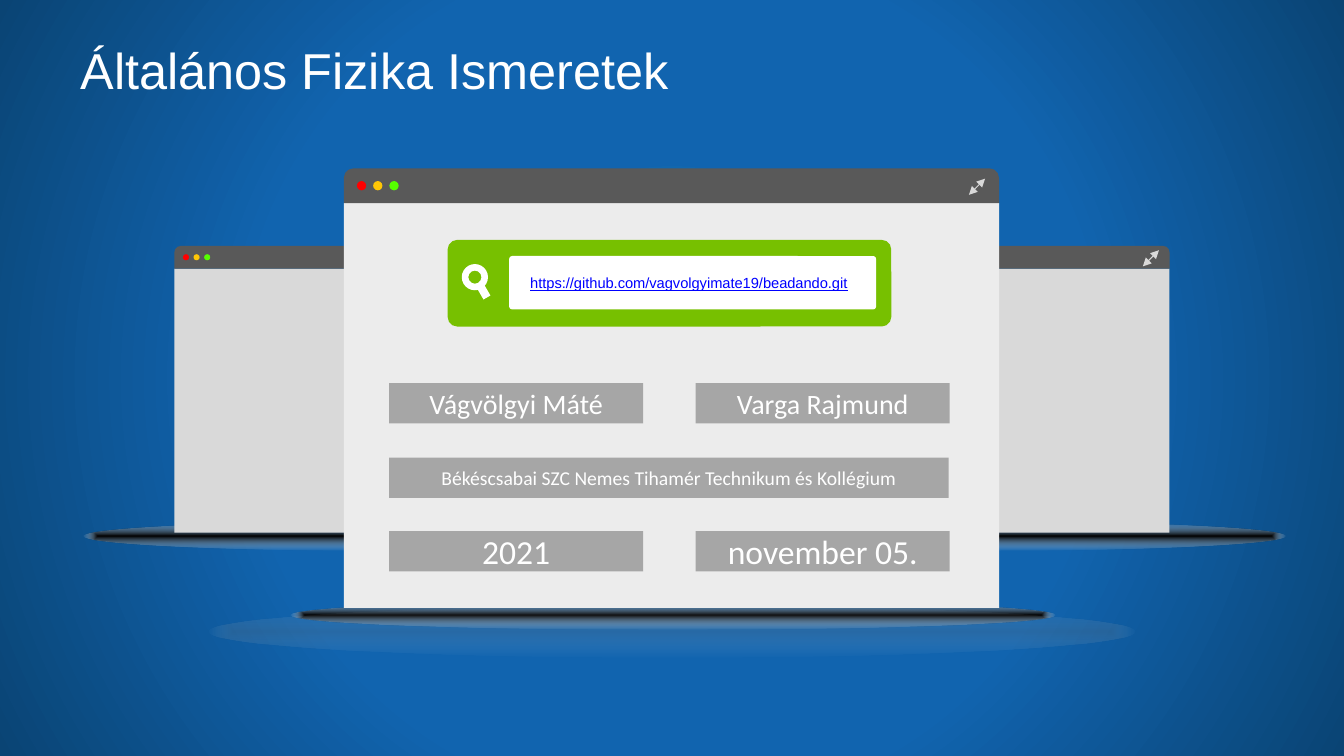
from lxml.etree import SubElement
from pptx import Presentation
from pptx.dml.color import RGBColor
from pptx.enum.shapes import MSO_CONNECTOR, MSO_SHAPE
from pptx.enum.text import MSO_ANCHOR, PP_ALIGN
from pptx.oxml.ns import qn
from pptx.util import Inches, Pt

WHITE = RGBColor(0xFF, 0xFF, 0xFF)
BLACK = RGBColor(0x00, 0x00, 0x00)
SMOKE = RGBColor(0x80, 0x80, 0x80)
DARK = RGBColor(0x59, 0x59, 0x59)
LIGHT = RGBColor(0xD9, 0xD9, 0xD9)
PALE = RGBColor(0xEC, 0xEC, 0xEC)
GREY = RGBColor(0xA6, 0xA6, 0xA6)
GREEN = RGBColor(0x77, 0xC0, 0x00)
LINK = RGBColor(0x00, 0x00, 0xFF)
LAMPS = [RGBColor(0xFF, 0x00, 0x00), RGBColor(0xFF, 0xC6, 0x05),
         RGBColor(0x56, 0xFF, 0x00)]
SKY = [(0, RGBColor(0x12, 0x67, 0xAE), 100),
       (55, RGBColor(0x11, 0x64, 0xAF), 100),
       (100, RGBColor(0x0A, 0x44, 0x74), 100)]


def add_glow(fill, owner, stops, path):
    """Fill from the centre outwards; stops are (place, colour, opacity) in percent."""
    fill.gradient()
    grad = owner.find(".//" + qn("a:gradFill"))
    for child in list(grad):
        grad.remove(child)
    group = SubElement(grad, qn("a:gsLst"))
    for place, color, alpha in stops:
        stop = SubElement(group, qn("a:gs"), pos=str(place * 1000))
        tint = SubElement(stop, qn("a:srgbClr"), val=str(color))
        if alpha < 100:
            SubElement(tint, qn("a:alpha"), val=str(alpha * 1000))
    way = SubElement(grad, qn("a:path"), path=path)
    SubElement(way, qn("a:fillToRect"), l="50000", t="50000", r="50000", b="50000")


def add_shape(slide, kind, box, color=None, adjust=None, turn=0):
    shape = slide.shapes.add_shape(kind, *[Inches(n) for n in box])
    shape.shadow.inherit = False
    shape.line.fill.background()
    if color is not None:
        shape.fill.solid()
        shape.fill.fore_color.rgb = color
    if adjust is not None:
        shape.adjustments[0] = adjust
    shape.rotation = turn
    return shape


def add_shade(slide, box, color=BLACK, alpha=100):
    shape = add_shape(slide, MSO_SHAPE.OVAL, box)
    stops = [(0, color, alpha), (100, WHITE, 0)]
    add_glow(shape.fill, shape._element, stops, "shape")


def add_text(shape, text, size, font, color=WHITE, align=PP_ALIGN.CENTER):
    frame = shape.text_frame
    frame.word_wrap = True
    frame.vertical_anchor = MSO_ANCHOR.MIDDLE
    line = frame.paragraphs[0]
    line.alignment = align
    run = line.add_run()
    run.text = text
    run.font.size = Pt(size)
    run.font.name = font
    run.font.color.rgb = color
    return run


def add_arrow(slide, x, y, half):
    """Two-headed slanted arrow centred on x, y."""
    ends = [Inches(n) for n in (x + half, y - half, x - half, y + half)]
    arrow = slide.shapes.add_connector(MSO_CONNECTOR.STRAIGHT, *ends)
    arrow.line.color.rgb = LIGHT
    arrow.line.width = Pt(0.75)
    for end in ("a:headEnd", "a:tailEnd"):
        SubElement(arrow.line._ln, qn(end), type="triangle")
    SubElement(arrow._element.spPr, qn("a:effectLst"))


def add_window(slide, left, top, width, face, lamps=True):
    scale = width / 4.24
    bar = 0.225 * scale
    add_shape(slide, MSO_SHAPE.RECTANGLE,
              (left, top + bar, width, 2.62 * scale), face)
    add_shape(slide, MSO_SHAPE.ROUND_2_SAME_RECTANGLE,
              (left, top, width, bar), DARK, 0.28)
    if lamps:
        size = 0.06 * scale
        for i, color in enumerate(LAMPS):
            x = left + (0.085 + 0.105 * i) * scale
            add_shape(slide, MSO_SHAPE.OVAL,
                      (x, top + (bar - size) / 2, size, size), color)
    add_arrow(slide, left + width - 0.12 - 0.065 * scale, top + bar / 2 + 0.01, 0.08)


def add_label(slide, left, top, width, text, size):
    shape = add_shape(slide, MSO_SHAPE.RECTANGLE, (left, top, width, 0.4), GREY)
    add_text(shape, text, size, "Calibri")


def add_title(slide, text):
    box = slide.shapes.add_textbox(Inches(0.67), Inches(0.3), Inches(12), Inches(0.78))
    frame = box.text_frame
    frame.margin_left = frame.margin_right = Inches(0.13)
    frame.margin_top = frame.margin_bottom = Inches(0.07)
    add_text(box, text, 36, "Arial", align=PP_ALIGN.LEFT)


def add_search(slide, text):
    add_shape(slide, MSO_SHAPE.ROUNDED_RECTANGLE, (4.44, 2.38, 4.4, 0.86), GREEN, 0.11)
    field = add_shape(slide, MSO_SHAPE.ROUNDED_RECTANGLE,
                      (5.05, 2.54, 3.64, 0.53), WHITE, 0.06)
    field.text_frame.margin_left = Inches(0.2)
    field.text_frame.margin_right = Inches(0.12)
    run = add_text(field, text, 10.5, "Arial", LINK, PP_ALIGN.LEFT)
    run.font.underline = True
    # Magnifier: ring and handle
    add_shape(slide, MSO_SHAPE.DONUT, (4.58, 2.62, 0.26, 0.26), WHITE, turn=60)
    add_shape(slide, MSO_SHAPE.RECTANGLE, (4.74, 2.86, 0.12, 0.08), WHITE, turn=60)


def main():
    deck = Presentation()
    deck.slide_width = Inches(13.33)
    deck.slide_height = Inches(7.5)
    slide = deck.slides.add_slide(deck.slide_layouts[6])
    add_glow(slide.background.fill, slide._element, SKY, "circle")

    # Shadows under the windows
    for box in ((6.47, 5.17, 6.28, 0.29), (0.83, 5.17, 6.28, 0.29),
                (2.88, 5.96, 7.59, 0.29)):
        add_shade(slide, box)

    # Back windows
    add_window(slide, 7.36, 2.44, 4.24, LIGHT, lamps=False)
    add_window(slide, 1.73, 2.44, 4.24, LIGHT)
    add_shade(slide, (2.07, 6.01, 9.19, 0.51), SMOKE, 20)

    add_title(slide, "Általános Fizika Ismeretek")

    # Front window with search bar and labels
    add_window(slide, 3.41, 1.67, 6.5, PALE)
    add_search(slide, "https://github.com/vagvolgyimate19/beadando.git")
    pairs = [(3.8, 20, "Vágvölgyi Máté", "Varga Rajmund"),
             (5.27, 24, "2021", "november 05.")]
    for top, size, *texts in pairs:
        for left, text in zip((3.86, 6.9), texts):
            add_label(slide, left, top, 2.52, text, size)
    add_label(slide, 3.86, 4.54, 5.55,
              "Békéscsabai SZC Nemes Tihamér Technikum és Kollégium", 14)

    deck.save("out.pptx")


if __name__ == "__main__":
    main()
